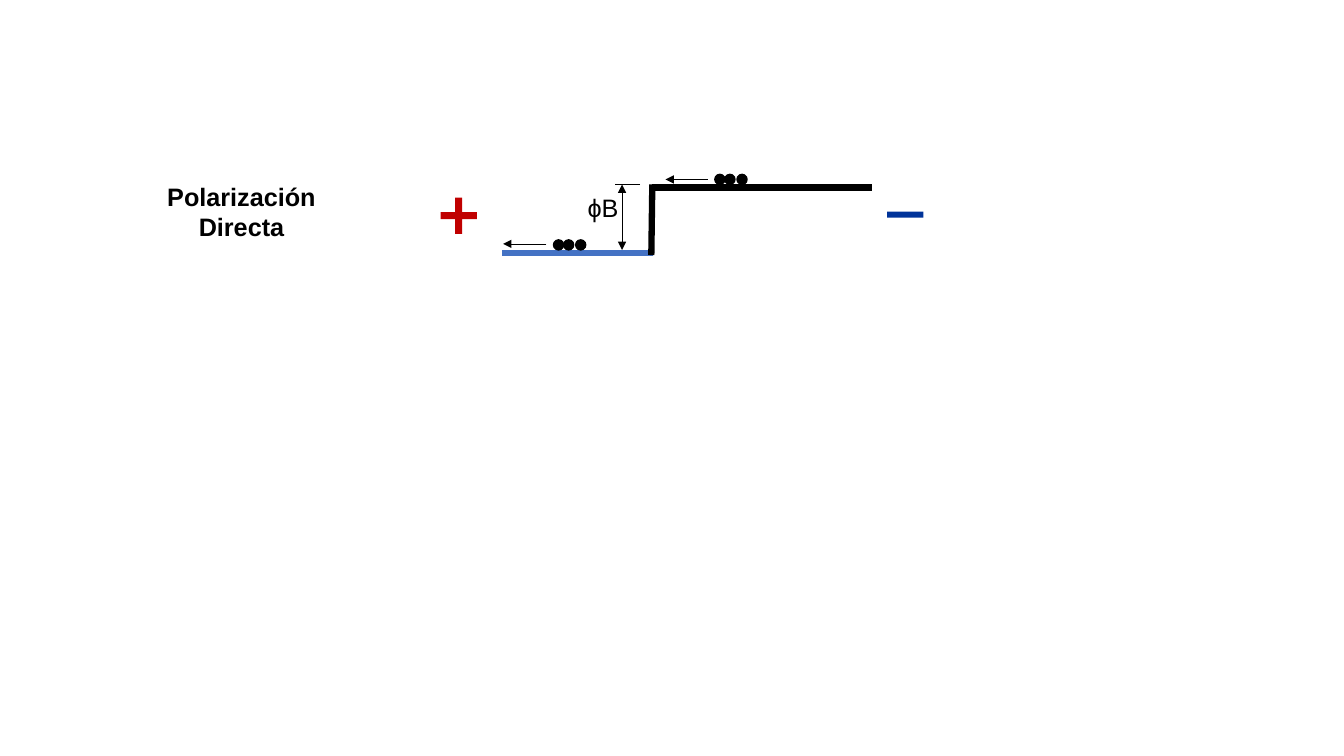
from pptx import Presentation
from pptx.dml.color import RGBColor
from pptx.enum.shapes import MSO_CONNECTOR as Link, MSO_SHAPE as Form
from pptx.enum.text import MSO_AUTO_SIZE as Fit, PP_ALIGN as Align
from pptx.oxml.ns import qn
from pptx.util import Inches, Pt
from lxml.etree import SubElement

BLACK = "000000"
BLUE = "4472C4"
RED = "C00000"
NAVY = "003399"


def tint(code):
    return RGBColor.from_string(code)


class Board:
    font = "Arial"
    size = 18

    def __init__(self, slide):
        self.slide = slide

    def line(self, x1, y1, x2, y2, width=0.5, color=BLACK, ends=()):
        link = self.slide.shapes.add_connector(
            Link.STRAIGHT, Inches(x1), Inches(y1), Inches(x2), Inches(y2))
        link.line.width = Pt(width)
        link.line.color.rgb = tint(color)
        stroke = link.line._get_or_add_ln()
        for end in ends:
            SubElement(stroke, qn("a:" + end), type="triangle")
        SubElement(link._element.spPr, qn("a:effectLst"))

    def shape(self, form, x, y, w, h, color, edge=0):
        item = self.slide.shapes.add_shape(
            form, Inches(x), Inches(y), Inches(w), Inches(h))
        item.shadow.inherit = False
        item.fill.solid()
        item.fill.fore_color.rgb = tint(color)
        if edge:
            item.line.color.rgb = tint(color)
            item.line.width = Pt(edge)
        else:
            item.line.fill.background()
        return item

    def text(self, x, y, w, h, rows, bold=False, align=Align.LEFT, wrap=True):
        box = self.slide.shapes.add_textbox(
            Inches(x), Inches(y), Inches(w), Inches(h))
        frame = box.text_frame
        frame.word_wrap = wrap
        frame.auto_size = Fit.SHAPE_TO_FIT_TEXT
        for i, row in enumerate(rows):
            para = frame.add_paragraph() if i else frame.paragraphs[0]
            para.alignment = align
            run = para.add_run()
            run.text = row
            run.font.name = self.font
            run.font.size = Pt(self.size)
            run.font.bold = bold
            run.font.color.rgb = tint(BLACK)


def main():
    deck = Presentation()
    deck.slide_width = Inches(13.33)
    deck.slide_height = Inches(7.5)
    board = Board(deck.slides.add_slide(deck.slide_layouts[6]))

    board.line(6.47, 1.86, 8.65, 1.86, 4.5)
    board.line(4.98, 2.51, 6.48, 2.51, 4.5, BLUE)
    board.line(6.47, 1.83, 6.46, 2.53, 4.5)

    for left, top in ((5.49, 2.38), (7.09, 1.73)):
        for step in (0, 0.1, 0.22):
            board.shape(Form.OVAL, left + step, top, 0.1, 0.1, BLACK, 1)

    board.line(6.35, 1.83, 6.1, 1.83)
    board.line(6.17, 1.83, 6.17, 2.48, ends=("headEnd", "tailEnd"))
    board.text(5.73, 1.86, 0.53, 0.4, ["ϕB"])
    for start, stop, y in ((7.02, 6.6, 1.78), (5.42, 4.99, 2.42)):
        board.line(start, y, stop, y, ends=("tailEnd",))

    plus = board.shape(Form.CROSS, 4.37, 1.96, 0.36, 0.36, RED)
    plus.adjustments[0] = 0.404
    board.shape(Form.RECTANGLE, 8.8, 2.1, 0.36, 0.06, NAVY)

    board.text(1.55, 1.75, 1.69, 0.71, ["Polarización", "Directa"],
               bold=True, align=Align.CENTER, wrap=False)
    deck.save("out.pptx")


if __name__ == "__main__":
    main()
